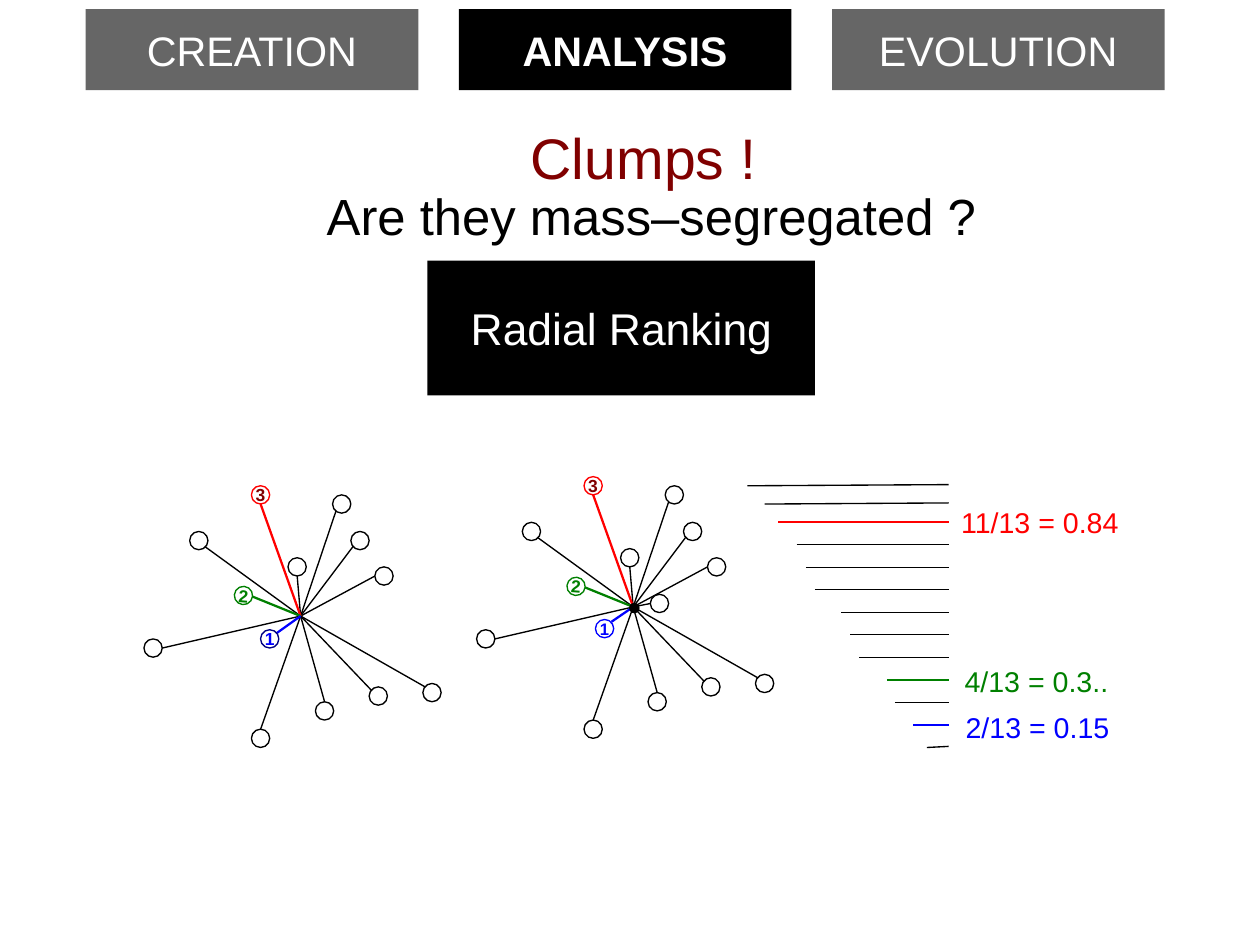
from dataclasses import dataclass, replace

from lxml.etree import SubElement
from pptx import Presentation
from pptx.dml.color import RGBColor
from pptx.enum.shapes import MSO_CONNECTOR as Connector, MSO_SHAPE as Preset
from pptx.enum.text import MSO_ANCHOR as Anchor, PP_ALIGN as Align
from pptx.oxml.ns import qn
from pptx.shapes.autoshape import Shape
from pptx.slide import Slide
from pptx.util import Inches, Pt

COLORS = {
    "white": "FFFFFF", "black": "000000", "gray": "666666", "maroon": "800000",
    "red": "FF0000", "green": "008000", "blue": "0000FF", "navy": "000080",
}
CM_PER_INCH = 2.54
PAGE_WIDTH, PAGE_HEIGHT = 28 / CM_PER_INCH, 21 / CM_PER_INCH
THIN, THICK = 0.85, 1.42
STAR_SIZE = 0.16
CENTER = (2.63, 5.39)
SECOND_SHIFT = (2.91, -0.08)
RANK_RIGHT = 8.3


@dataclass(frozen=True)
class Star:
    """A star by its left top corner, with the outer end of its spoke."""
    left: float
    top: float
    tip_x: float
    tip_y: float
    ring: str = "black"
    spoke: str = "black"
    label: str = ""
    label_color: str = "black"
    label_size: float = 11
    rotation: float = 0


@dataclass(frozen=True)
class Rank:
    left: float
    y: float
    color: str = "black"
    rise: float = 0


@dataclass(frozen=True)
class Label:
    text: str
    left: float
    top: float
    width: float
    height: float
    size: float
    color: str
    align: Align = Align.LEFT


@dataclass(frozen=True)
class Banner:
    text: str
    left: float
    top: float
    width: float
    height: float
    size: float
    fill: str = "black"
    bold: bool = False


STARS = [
    Star(3.70, 5.98, 3.72, 6.01),
    Star(3.23, 6.01, 3.25, 6.04),
    Star(2.20, 6.38, 2.28, 6.38),
    Star(1.26, 5.59, 1.42, 5.67),
    Star(1.66, 4.65, 1.79, 4.78),
    Star(2.52, 4.88, 2.60, 5.04),
    Star(2.91, 4.33, 2.94, 4.47),
    Star(3.07, 4.65, 3.09, 4.78),
    Star(3.28, 4.96, 3.28, 5.04),
    Star(2.76, 6.14, 2.84, 6.14),
    Star(2.20, 4.25, 2.28, 4.41, "red", "red", "3", "maroon"),
    Star(2.05, 5.13, 2.21, 5.22, "green", "green", "2", "green", rotation=4.5),
]
NEAREST = Star(2.28, 5.51, 2.42, 5.54, "navy", "blue", "1", "blue")
SECOND_NEAREST = replace(NEAREST, left=2.30, top=5.50, tip_x=2.44, tip_y=5.52,
                         ring="blue", label_size=10.5)
EXTRA_STAR = Star(2.78, 5.28, 2.78, 5.36)

EVEN_RANK_LEFTS = [6.81, 6.97, 7.05, 7.13, 7.36, 7.44, 7.52, 7.76, 7.83, 7.99]
RANK_COLORS = {0: "red", 7: "green", 9: "blue"}
RANKS = [
    Rank(6.54, 4.25, rise=0.01),
    Rank(6.69, 4.41, rise=0.01),
    *(Rank(left, 4.57 + 1.77 * row / 9, RANK_COLORS.get(row, "black"))
      for row, left in enumerate(EVEN_RANK_LEFTS)),
    Rank(8.11, 6.54, rise=0.01),
]

BANNERS = [
    *(Banner(text, 0.75 + 6.53 * column / 2, 0.08, 2.91, 0.71, 26, fill, fill == "black")
      for column, (text, fill) in enumerate(
          [("CREATION", "gray"), ("ANALYSIS", "black"), ("EVOLUTION", "gray")])),
    Banner("Radial Ranking", 3.74, 2.28, 3.39, 1.18, 28),
]
LABELS = [
    Label("Clumps !", 4.45, 1.02, 2.36, 0.66, 36, "maroon", Align.CENTER),
    Label("Are they mass–segregated ?", 2.76, 1.57, 6.22, 0.6, 32, "black"),
    Label("11/13 = 0.84", 8.31, 4.37, 1.65, 0.38, 18, "red"),
    Label("4/13 = 0.3..", 8.34, 5.76, 1.62, 0.38, 18, "green"),
    Label("2/13 = 0.15", 8.35, 6.16, 1.77, 0.38, 18, "blue"),
]


def rgb(name: str) -> RGBColor:
    return RGBColor.from_string(COLORS[name])


def write(box: Shape, text: str, *, size: float, color: str, bold: bool = False,
          align: Align = Align.CENTER, anchor: Anchor = Anchor.MIDDLE,
          wrap: bool = False) -> None:
    frame = box.text_frame
    frame.word_wrap = wrap
    frame.vertical_anchor = anchor
    para = frame.paragraphs[0]
    para.alignment = align
    span = para.add_run()
    span.text = text
    span.font.name = "Arial"
    span.font.size = Pt(size)
    span.font.bold = bold
    span.font.color.rgb = rgb(color)


def add_filled(page: Slide, preset: Preset, left: float, top: float, width: float,
               height: float, fill: str, line: str = "") -> Shape:
    shape = page.shapes.add_shape(
        preset, Inches(left), Inches(top), Inches(width), Inches(height))
    shape.shadow.inherit = False
    shape.fill.solid()
    shape.fill.fore_color.rgb = rgb(fill)
    if line:
        shape.line.color.rgb = rgb(line)
        shape.line.width = Pt(THIN)
    else:
        shape.line.fill.background()
    return shape


def add_line(page: Slide, x1: float, y1: float, x2: float, y2: float, color: str) -> None:
    line = page.shapes.add_connector(
        Connector.STRAIGHT, Inches(x1), Inches(y1), Inches(x2), Inches(y2))
    line.line.color.rgb = rgb(color)
    line.line.width = Pt(THIN if color == "black" else THICK)
    SubElement(line._element.spPr, qn("a:effectLst"))


def add_banner(page: Slide, banner: Banner) -> None:
    shape = add_filled(page, Preset.RECTANGLE, banner.left, banner.top,
                       banner.width, banner.height, banner.fill)
    write(shape, banner.text, size=banner.size, color="white", bold=banner.bold)


def add_label(page: Slide, label: Label) -> None:
    box = page.shapes.add_textbox(Inches(label.left), Inches(label.top),
                                  Inches(label.width), Inches(label.height))
    write(box, label.text, size=label.size, color=label.color, align=label.align,
          anchor=Anchor.TOP, wrap=True)


def add_cluster(page: Slide, stars: list[Star], shift: tuple[float, float] = (0, 0)) -> None:
    """Draw every spoke to the shared centre, then the stars over them."""
    dx, dy = shift
    for star in stars:
        add_line(page, star.tip_x + dx, star.tip_y + dy,
                 CENTER[0] + dx, CENTER[1] + dy, star.spoke)
    for star in stars:
        circle = add_filled(page, Preset.OVAL, star.left + dx, star.top + dy,
                            STAR_SIZE, STAR_SIZE, "white", star.ring)
        circle.rotation = star.rotation
        if star.label:
            write(circle, star.label, size=star.label_size,
                  color=star.label_color, bold=True)


def main() -> None:
    deck = Presentation()
    deck.slide_width, deck.slide_height = Inches(PAGE_WIDTH), Inches(PAGE_HEIGHT)
    page = deck.slides.add_slide(deck.slide_layouts[6])
    for banner in BANNERS:
        add_banner(page, banner)
    for label in LABELS:
        add_label(page, label)
    for rank in RANKS:
        add_line(page, rank.left, rank.y, RANK_RIGHT, rank.y - rank.rise, rank.color)
    add_cluster(page, [*STARS, NEAREST])
    add_cluster(page, [*STARS, SECOND_NEAREST, EXTRA_STAR], SECOND_SHIFT)
    add_filled(page, Preset.OVAL, 5.51, 5.28, 0.08, 0.08, "black", "black")
    deck.save("out.pptx")


if __name__ == "__main__":
    main()
